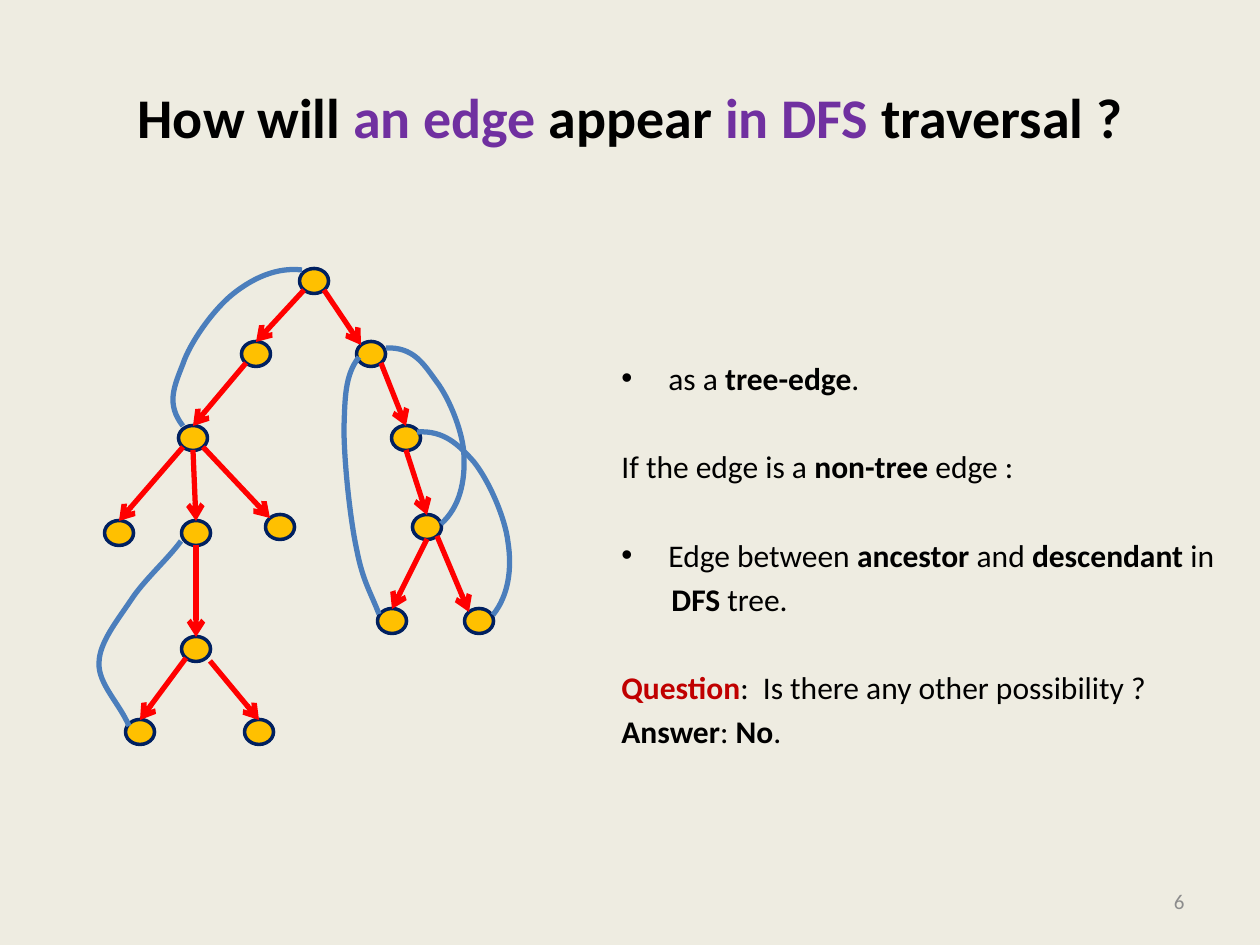
from lxml import etree
from pptx import Presentation
from pptx.dml.color import RGBColor
from pptx.enum.shapes import MSO_CONNECTOR, MSO_SHAPE
from pptx.enum.text import MSO_ANCHOR, PP_ALIGN
from pptx.oxml.ns import qn
from pptx.util import Emu, Pt

STRAIGHT = MSO_CONNECTOR.STRAIGHT
OVAL = MSO_SHAPE.OVAL
MIDDLE = MSO_ANCHOR.MIDDLE
LEFT, CENTER, RIGHT = PP_ALIGN.LEFT, PP_ALIGN.CENTER, PP_ALIGN.RIGHT

EMU_PER_PX = 914400 / 126
FONT = "Calibri"
COLORS = {
    "background": "EEECE1", "text": "000000", "accent": "7030A0",
    "question": "C00000", "number": "8C8C8C", "node": "FFC000",
    "node_line": "002060", "tree_edge": "FF0000", "back_edge": "4B7EBC",
}

NODE_WIDTH, NODE_HEIGHT = 29, 25
NODES = {
    "root": (224, 21), "left": (166, 94), "right": (281, 94),
    "hub": (103, 178), "hub_left": (29, 273), "hub_middle": (106, 273),
    "hub_right": (190, 267), "low": (106, 389), "low_left": (50, 472),
    "low_right": (169, 472), "chain": (316, 178), "fork": (337, 267),
    "fork_left": (302, 361), "fork_right": (389, 361),
}
SITES = {
    "top": (0, -12), "top_left": (-10, -9), "bottom": (0, 12),
    "bottom_left": (-10, 9), "bottom_right": (10, 9), "corner": (14, 12),
}
TREE_EDGES = [
    ("root", "bottom_left", "left", "top"),
    ("root", "bottom_right", "right", "top_left"),
    ("left", "bottom_left", "hub", "top"),
    ("hub", "bottom_left", "hub_left", "top"),
    ("hub", "bottom", "hub_middle", "top"),
    ("hub", "bottom_right", "hub_right", "top_left"),
    ("hub_middle", "bottom", "low", "top"),
    ("low", "bottom_left", "low_left", "top"),
    ("low", "corner", "low_right", "top"),
    ("right", "bottom_right", "chain", "top"),
    ("chain", "bottom", "fork", "top"),
    ("fork", "bottom", "fork_left", "top"),
    ("fork", "bottom_right", "fork_right", "top_left"),
]
# Each back edge: a start point, then three points per cubic Bezier segment.
BACK_EDGES = [
    [(351, 264), (370, 247), (375, 221), (374, 197), (374, 175),
     (360, 139), (346, 121), (333, 103), (323, 87), (296, 88)],
    [(289, 354), (280, 331), (273, 321), (267, 291), (260, 259),
     (254, 201), (254, 168), (255, 137), (255, 115), (269, 97)],
    [(39, 466), (30, 444), (8, 424), (9, 403), (9, 383),
     (27, 361), (41, 340), (54, 320), (78, 299), (91, 281)],
    [(212, 10), (187, 7), (163, 18), (143, 34), (123, 50),
     (100, 83), (93, 104), (84, 127), (76, 144), (93, 166)],
    [(403, 355), (419, 335), (422, 308), (418, 282), (415, 257),
     (399, 221), (384, 202), (369, 185), (354, 170), (327, 172)],
]

TITLE = [("How will", "text", True), (" an edge ", "accent", True),
         ("appear", "text", True), (" in DFS ", "accent", True),
         ("traversal ?", "text", True)]
LINE_GAP, BLOCK_GAP = 3.6, 28.8
# Space before in points, left margin in px, bullet, runs.
BODY = [
    (0, 47, True, [("as a ", "text", False), ("tree-edge", "text", True),
                   (".", "text", False)]),
    (BLOCK_GAP, 0, False, [("If the edge is a ", "text", False),
                           ("non-tree", "text", True),
                           (" edge :", "text", False)]),
    (BLOCK_GAP, 47, True, [("Edge between ", "text", False),
                           ("ancestor", "text", True),
                           (" and ", "text", False),
                           ("descendant", "text", True),
                           (" in", "text", False)]),
    (LINE_GAP, 50, False, [("DFS", "text", True), (" tree.", "text", False)]),
    (BLOCK_GAP, 0, False, [("Question", "question", True),
                           (":  Is there any other possibility ?", "text", False)]),
    (LINE_GAP, 0, False, [("Answer", "text", True), (": ", "text", False),
                          ("No", "text", True), (".", "text", False)]),
]


def px(length):
    return Emu(round(length * EMU_PER_PX))


def color(name):
    return RGBColor.from_string(COLORS[name])


def set_line(shape, name, points):
    shape.line.color.rgb = color(name)
    shape.line.width = Pt(points)


def add_text_frame(slide, box):
    text_frame = slide.shapes.add_textbox(*map(px, box)).text_frame
    text_frame.word_wrap = True
    return text_frame


def add_runs(paragraph, runs, size, alignment):
    paragraph.alignment = alignment
    for text, color_name, bold in runs:
        run = paragraph.add_run()
        run.text = text
        run.font.name = FONT
        run.font.size = Pt(size)
        run.font.bold = bold
        run.font.color.rgb = color(color_name)


def add_single_line(slide, box, runs, size, alignment):
    text_frame = add_text_frame(slide, box)
    text_frame.vertical_anchor = MIDDLE
    add_runs(text_frame.paragraphs[0], runs, size, alignment)


def add_body(slide, box):
    text_frame = add_text_frame(slide, box)
    for index, (gap, margin, bullet, runs) in enumerate(BODY):
        paragraph = text_frame.add_paragraph() if index else text_frame.paragraphs[0]
        paragraph.space_before = Pt(gap)
        properties = paragraph._p.get_or_add_pPr()
        properties.set("marL", str(px(margin)))
        properties.set("indent", str(px(-margin if bullet else 0)))
        if bullet:
            etree.SubElement(properties, qn("a:buFont")).set("typeface", "Arial")
            etree.SubElement(properties, qn("a:buChar")).set("char", "•")
        add_runs(paragraph, runs, 18, LEFT)


def add_node(slide, center_x, center_y):
    node = slide.shapes.add_shape(
        OVAL, px(center_x - NODE_WIDTH / 2), px(center_y - NODE_HEIGHT / 2),
        px(NODE_WIDTH), px(NODE_HEIGHT))
    node.shadow.inherit = False
    node.fill.solid()
    node.fill.fore_color.rgb = color("node")
    set_line(node, "node_line", 2)


def add_arrow(slide, start, end):
    arrow = slide.shapes.add_connector(STRAIGHT, *map(px, start + end))
    set_line(arrow, "tree_edge", 3)
    etree.SubElement(arrow.line._get_or_add_ln(), qn("a:tailEnd")).set("type", "arrow")
    etree.SubElement(arrow._element.spPr, qn("a:effectLst"))


def bend_segments(curve):
    """Turn every three straight segments into one cubic Bezier segment."""
    outline = next(curve._element.iter(qn("a:path")))
    segments = outline.findall(qn("a:lnTo"))
    for first in range(0, len(segments), 3):
        bezier = etree.SubElement(outline, qn("a:cubicBezTo"))
        for segment in segments[first:first + 3]:
            bezier.append(segment[0])
            outline.remove(segment)


def add_curve(slide, controls):
    points = [(px(x), px(y)) for x, y in controls]
    builder = slide.shapes.build_freeform(*points[0])
    builder.add_line_segments(points[1:], close=False)
    curve = builder.convert_to_shape()
    bend_segments(curve)
    curve.shadow.inherit = False
    curve.fill.background()
    set_line(curve, "back_edge", 3)


def add_tree(slide, left, top):
    def site(node, side):
        return tuple(sum(parts) for parts in zip((left, top), NODES[node], SITES[side]))

    for x, y in NODES.values():
        add_node(slide, left + x, top + y)
    for parent, parent_side, child, child_side in TREE_EDGES:
        add_arrow(slide, site(parent, parent_side), site(child, child_side))
    for controls in BACK_EDGES:
        add_curve(slide, [(left + x, top + y) for x, y in controls])


def main():
    presentation = Presentation()
    presentation.slide_width, presentation.slide_height = px(1260), px(945)
    slide = presentation.slides.add_slide(presentation.slide_layouts[6])
    slide.background.fill.solid()
    slide.background.fill.fore_color.rgb = color("background")
    add_single_line(slide, (63, 38, 1134, 157), TITLE, 32, CENTER)
    add_body(slide, (609, 353, 651, 491))
    add_single_line(slide, (903, 876, 294, 50), [("6", "number", False)], 12, RIGHT)
    add_tree(slide, 90, 260)
    presentation.save("out.pptx")


if __name__ == "__main__":
    main()
